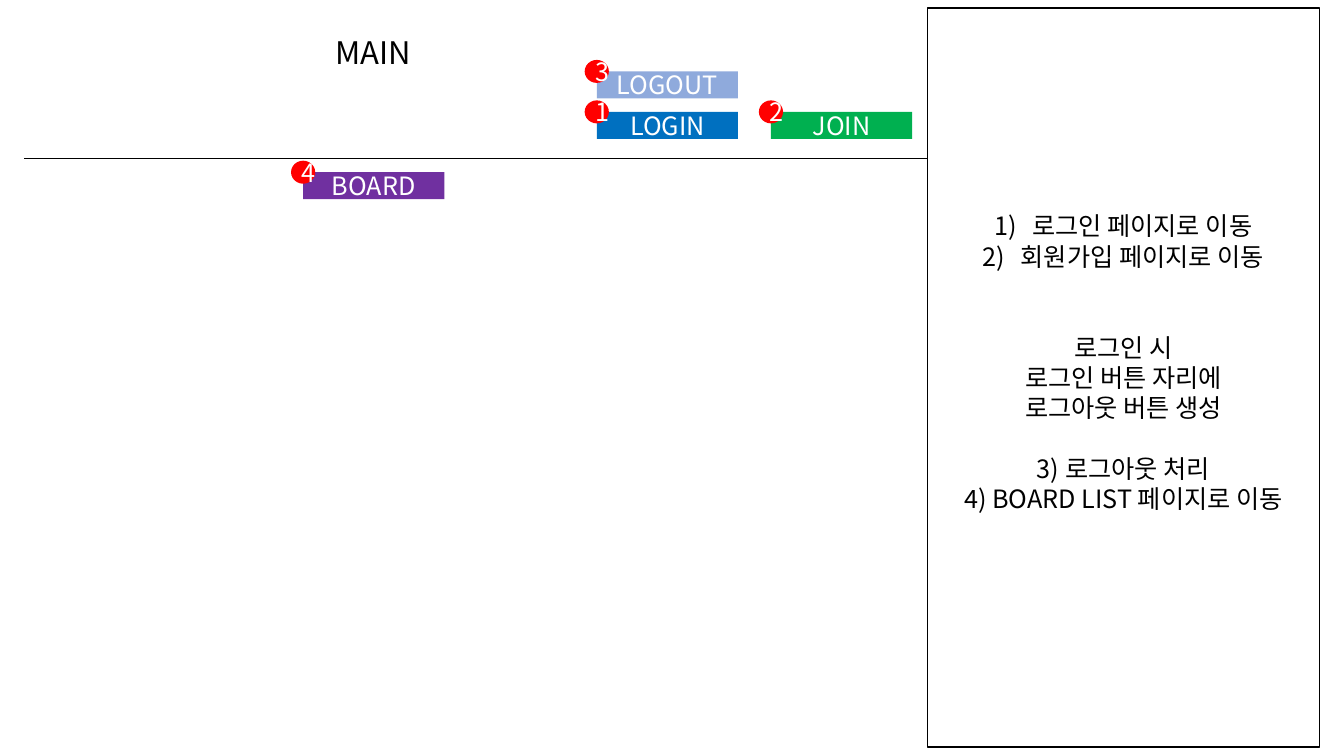
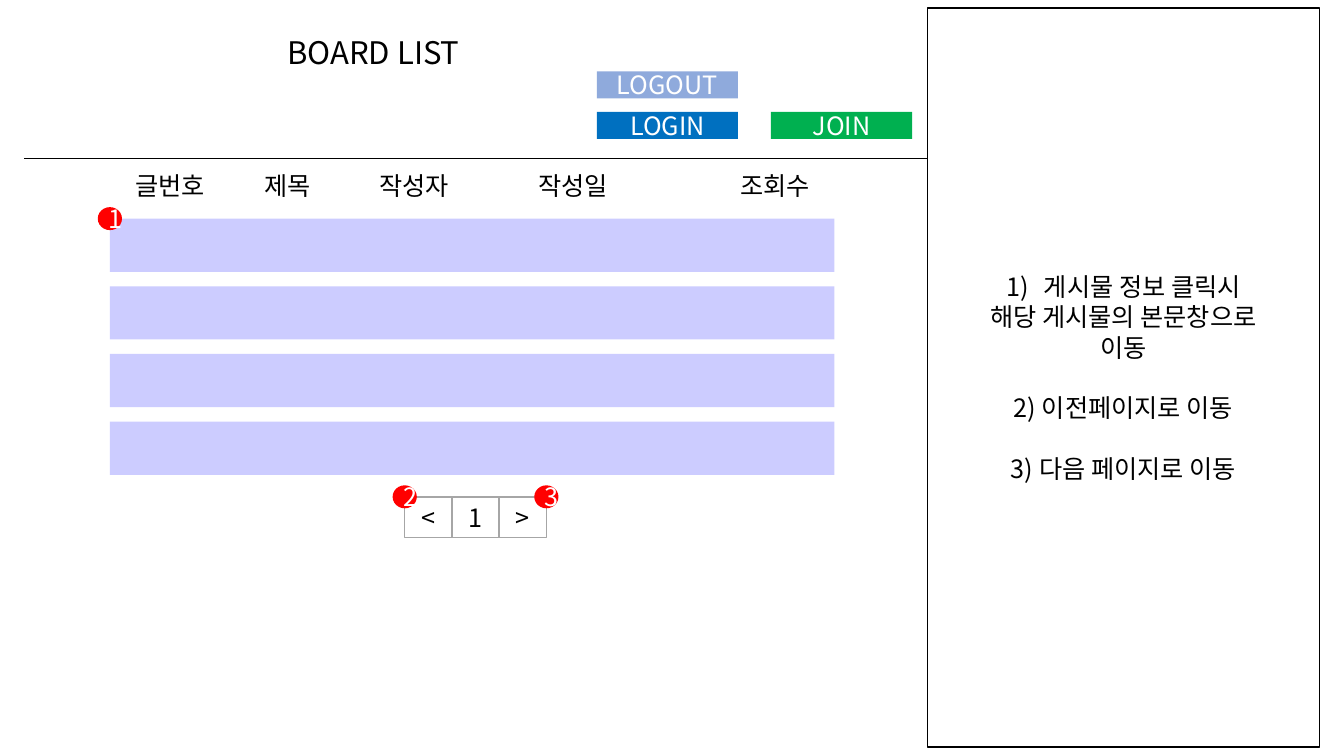
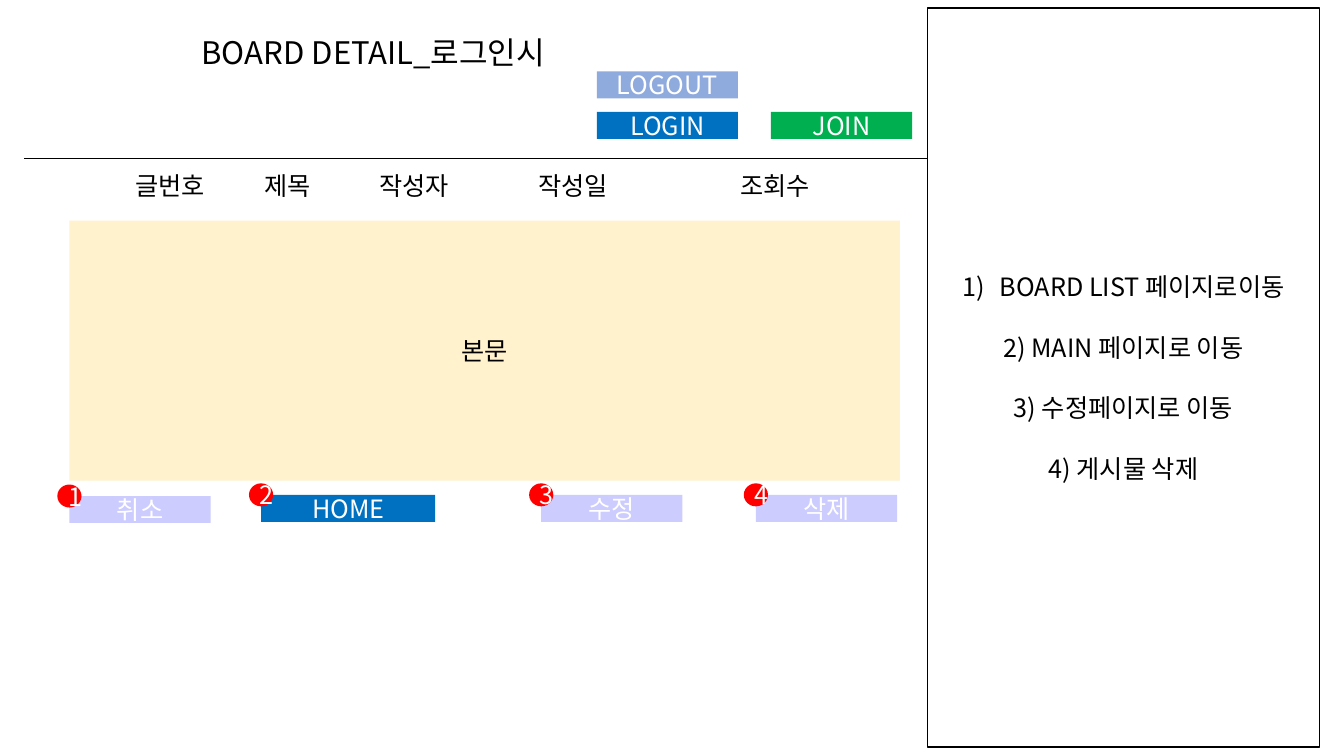
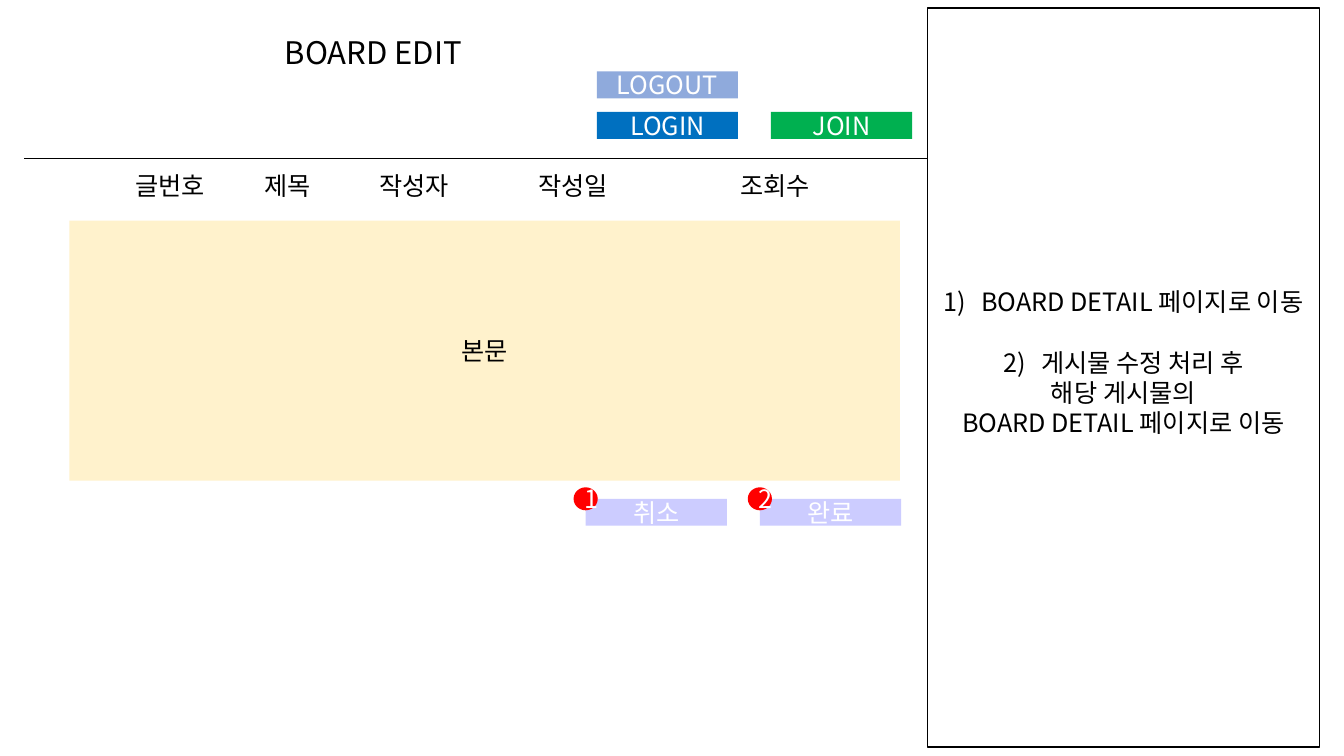
"""Storyboard of a small message board: four wireframe pages with notes."""
from dataclasses import dataclass

from lxml import etree
from pptx import Presentation
from pptx import util as u
from pptx.dml.color import RGBColor
from pptx.enum import shapes, text
from pptx.oxml.ns import qn


@dataclass(frozen=True)
class Theme:
    """Colours, font and type sizes of the deck."""
    font: str = "Noto Sans CJK KR"
    title_size: float = 22.2
    text_size: float = 18
    note_pitch: float = 21.65
    black: str = "000000"
    white: str = "FFFFFF"
    blue: str = "0070C0"
    pale_blue: str = "8FAADC"
    green: str = "00B050"
    purple: str = "7030A0"
    lilac: str = "CCCCFF"
    cream: str = "FFF2CC"
    grey: str = "A6A6A6"
    red: str = "FF0000"


T = Theme()
BUTTON_W, BUTTON_H = 3.56, 0.68
BADGE_W, BADGE_H = 0.61, 0.58
PANEL_X = 23.37
NOTE_INDENT = 0.95


@dataclass(frozen=True)
class Box:
    """A rectangle in cm, with an optional numbered badge on a top corner."""
    label: str
    x: float
    y: float
    w: float = BUTTON_W
    h: float = BUTTON_H
    fill: str = ""
    line: str = ""
    color: str = T.white
    badge: str = ""
    badge_right: bool = False


@dataclass(frozen=True)
class Note:
    """One line of the notes panel; gap counts the lines left free above."""
    label: str
    number: int = 0
    gap: int = 0


@dataclass(frozen=True)
class Page:
    """One wireframe page."""
    title: str
    notes: tuple[Note, ...]
    boxes: tuple[Box, ...]
    header_badges: tuple[str, str, str] = ("", "", "")
    columns: bool = True
    lines_below: int = 0


def write(p, label: str, *, size: float = T.text_size, color: str = T.black,
          align=text.PP_ALIGN.CENTER, spacing=None, before: float = 0) -> None:
    """Put formatted text in a paragraph."""
    p.alignment = align
    p.space_before = u.Pt(before)
    if spacing is not None:
        p.line_spacing = spacing
    r = p.add_run()
    r.text = label
    r.font.size = u.Pt(size)
    r.font.color.rgb = RGBColor.from_string(color)
    r.font.name = T.font
    etree.SubElement(r.font._element, qn("a:ea"), typeface=T.font)


def place(sp, x: float, y: float, w: float, h: float) -> None:
    """Move and size a shape in cm."""
    sp.left, sp.top, sp.width, sp.height = map(u.Cm, (x, y, w, h))


def add_shape(s, kind, x: float, y: float, w: float, h: float, *, fill: str = "",
              line: str = "", label: str = "", color: str = T.white) -> None:
    """Draw a flat preset shape with centred text."""
    sp = s.shapes.add_shape(kind, *map(u.Cm, (x, y, w, h)))
    sp.shadow.inherit = False
    if fill:
        sp.fill.solid()
        sp.fill.fore_color.rgb = RGBColor.from_string(fill)
    else:
        sp.fill.background()
    if line:
        sp.line.color.rgb = RGBColor.from_string(line)
        sp.line.width = u.Pt(1)
    else:
        sp.line.fill.background()
    if label:
        write(sp.text_frame.paragraphs[0], label, color=color)


def add_boxes(s, boxes: tuple[Box, ...]) -> None:
    """Draw the boxes, then their badges on top."""
    for b in boxes:
        add_shape(s, shapes.MSO_SHAPE.RECTANGLE, b.x, b.y, b.w, b.h,
                  fill=b.fill, line=b.line, label=b.label, color=b.color)
    for b in boxes:
        if b.badge:
            corner = b.x + b.w if b.badge_right else b.x
            add_shape(s, shapes.MSO_SHAPE.OVAL, corner - BADGE_W / 2, b.y - BADGE_H / 2,
                      BADGE_W, BADGE_H, fill=T.red, label=b.badge)


def add_title(s, label: str) -> None:
    """Fill the title placeholder."""
    sp = s.shapes.title
    place(sp, 3.53, 0.89, 11.76, 1.04)
    tf = sp.text_frame
    tf.auto_size = text.MSO_AUTO_SIZE.NONE
    tf.vertical_anchor = text.MSO_ANCHOR.TOP
    write(tf.paragraphs[0], label, size=T.title_size, spacing=0.8, before=10)


def add_notes_panel(s, page: Page) -> None:
    """Fill the body placeholder as the outlined panel on the right."""
    sp = s.placeholders[1]
    place(sp, PANEL_X, 0.2, 9.88, 18.62)
    sp.line.color.rgb = RGBColor.from_string(T.black)
    sp.line.width = u.Pt(1)
    tf = sp.text_frame
    tf.auto_size = text.MSO_AUTO_SIZE.NONE
    tf.vertical_anchor = text.MSO_ANCHOR.MIDDLE
    tf.margin_bottom = u.Cm(0.13) + u.Pt(T.note_pitch * page.lines_below)
    for i, note in enumerate(page.notes):
        p = tf.add_paragraph() if i else tf.paragraphs[0]
        write(p, note.label, spacing=u.Pt(T.note_pitch), before=note.gap * T.note_pitch)
        pPr = p._p.get_or_add_pPr()
        indent = u.Cm(NOTE_INDENT) if note.number else 0
        pPr.set("marL", str(indent))
        pPr.set("indent", str(-indent))
        if note.number:
            etree.SubElement(pPr, qn("a:buFont"), typeface="+mj-lt")
            etree.SubElement(pPr, qn("a:buAutoNum"), type="arabicParenR",
                             startAt=str(note.number))
        else:
            etree.SubElement(pPr, qn("a:buNone"))


def add_header(s, badges: tuple[str, str, str]) -> None:
    """Draw the account buttons and the rule under them."""
    logout, login, join = badges
    cxn = s.shapes.add_connector(shapes.MSO_CONNECTOR.STRAIGHT,
                                 *map(u.Cm, (0.61, 3.99, PANEL_X, 3.99)))
    cxn.line.color.rgb = RGBColor.from_string(T.black)
    cxn.line.width = u.Pt(0.5)
    etree.SubElement(cxn._element.spPr, qn("a:effectLst"))
    add_boxes(s, (
        Box("LOGIN", 15.04, 2.82, fill=T.blue, badge=login),
        Box("JOIN", 19.43, 2.82, fill=T.green, badge=join),
        Box("LOGOUT", 15.04, 1.8, fill=T.pale_blue, badge=logout),
    ))


def add_column_names(s) -> None:
    """Write the list's column names on tab stops."""
    tb = s.shapes.add_textbox(*map(u.Cm, (2.82, 4.01, 18.26, 1.35)))
    tf = tb.text_frame
    tf.word_wrap = True
    tf.vertical_anchor = text.MSO_ANCHOR.MIDDLE
    tf.margin_left = u.Cm(0.59)
    p = tf.paragraphs[0]
    write(p, "글번호\t제목\t작성자\t작성일\t조회수", align=text.PP_ALIGN.LEFT)
    tabs = etree.SubElement(p._p.get_or_add_pPr(), qn("a:tabLst"))
    for pos in (3.25, 6.15, 10.16, 15.25):
        etree.SubElement(tabs, qn("a:tab"), pos=str(u.Cm(pos)), algn="l")


def add_page(prs, page: Page) -> None:
    """Build one slide."""
    s = prs.slides.add_slide(prs.slide_layouts[1])
    add_title(s, page.title)
    add_notes_panel(s, page)
    add_header(s, page.header_badges)
    if page.columns:
        add_column_names(s)
    add_boxes(s, page.boxes)


POST_ROWS = tuple(
    Box("", 2.77, 5.51 + 1.705 * i, 18.26, 1.34, fill=T.lilac, badge="" if i else "1")
    for i in range(4))
PAGER = tuple(
    Box(label, 10.2 + 1.19 * i, 12.52, 1.19, 1.02, line=T.grey, color=T.black,
        badge=badge, badge_right=label == ">")
    for i, (label, badge) in enumerate((("<", "2"), ("1", ""), (">", "3"))))
POST_BODY = Box("본문", 1.75, 5.56, 20.93, 6.55, fill=T.cream, color=T.black)

PAGES = (
    Page("MAIN",
         notes=(Note("로그인 페이지로 이동", number=1),
                Note("회원가입 페이지로 이동", number=2),
                Note("로그인 시", gap=2),
                Note("로그인 버튼 자리에"),
                Note("로그아웃 버튼 생성"),
                Note("3) 로그아웃 처리", gap=1),
                Note("4) BOARD LIST 페이지로 이동")),
         boxes=(Box("BOARD", 7.64, 4.34, fill=T.purple, badge="4"),),
         header_badges=("3", "1", "2"), columns=False, lines_below=1),
    Page("BOARD LIST",
         notes=(Note("게시물 정보 클릭시", number=1),
                Note("해당 게시물의 본문창으로"),
                Note("이동"),
                Note("2) 이전페이지로 이동", gap=1),
                Note("3) 다음 페이지로 이동", gap=1)),
         boxes=POST_ROWS + PAGER),
    Page("BOARD DETAIL_로그인시",
         notes=(Note("BOARD LIST 페이지로이동", number=1),
                Note("2) MAIN 페이지로 이동", gap=1),
                Note("3) 수정페이지로 이동", gap=1),
                Note("4) 게시물 삭제", gap=1)),
         boxes=(POST_BODY,
                Box("취소", 1.75, 12.5, fill=T.lilac, badge="1"),
                Box("HOME", 6.58, 12.47, w=4.39, fill=T.blue, badge="2"),
                Box("수정", 13.64, 12.47, fill=T.lilac, badge="3"),
                Box("삭제", 19.05, 12.47, fill=T.lilac, badge="4"))),
    Page("BOARD EDIT",
         notes=(Note("BOARD DETAIL 페이지로 이동", number=1),
                Note("게시물 수정 처리 후", number=2, gap=1),
                Note("해당 게시물의"),
                Note("BOARD DETAIL 페이지로 이동")),
         boxes=(POST_BODY,
                Box("취소", 14.76, 12.57, fill=T.lilac, badge="1"),
                Box("완료", 19.15, 12.57, fill=T.lilac, badge="2")),
         lines_below=1),
)


def main() -> None:
    """Build and save the deck."""
    prs = Presentation()
    prs.slide_width, prs.slide_height = u.Cm(33.87), u.Cm(19.05)
    for page in PAGES:
        add_page(prs, page)
    prs.save("out.pptx")


main()
